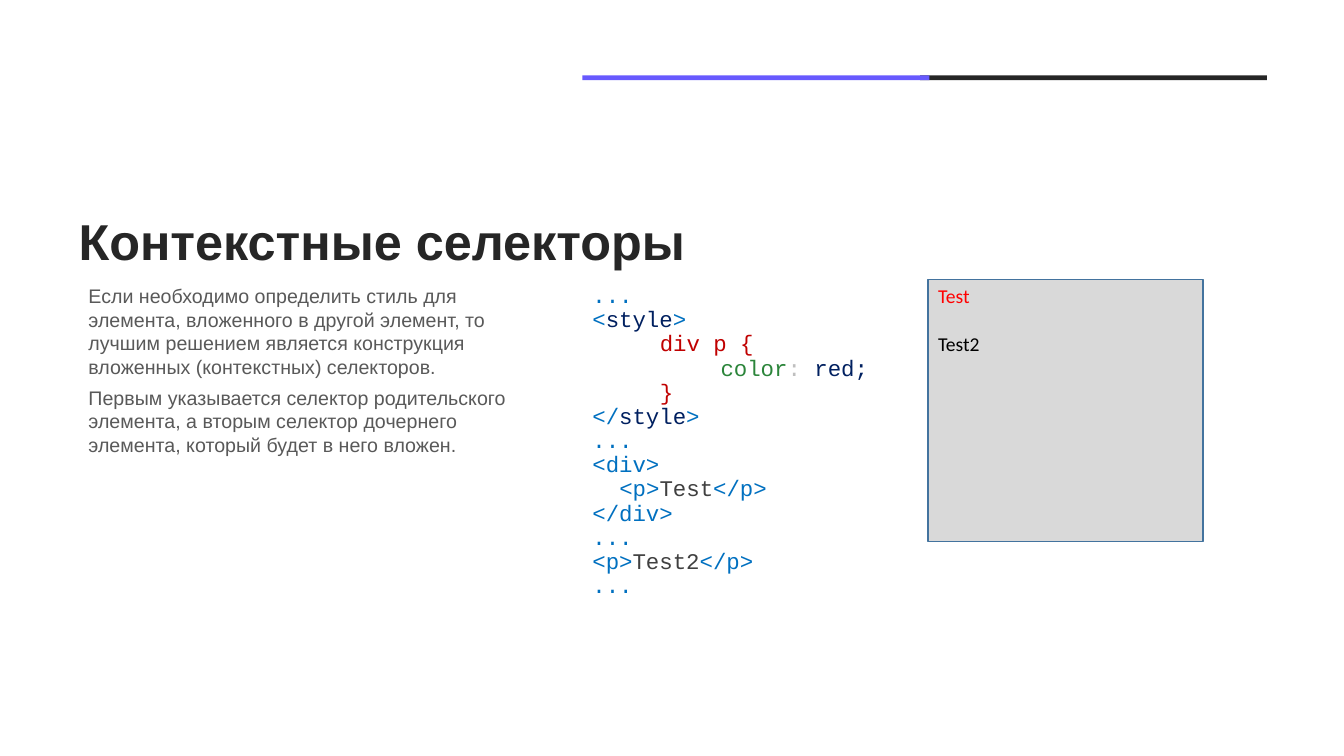
from pptx import Presentation
from pptx.dml.color import RGBColor
from pptx.enum.shapes import MSO_SHAPE
from pptx.enum.text import MSO_ANCHOR, PP_ALIGN
from pptx.util import Cm, Pt

RECTANGLE = MSO_SHAPE.RECTANGLE
TOP, MIDDLE = MSO_ANCHOR.TOP, MSO_ANCHOR.MIDDLE
LEFT = PP_ALIGN.LEFT

DARK, VIOLET, GREY = "262626", "6759FE", "595959"
TAG, NAME, SELECTOR = "0070C0", "002060", "C00000"
PROPERTY, COLON, CONTENT = "2B853A", "BFBFBF", "404040"

CONTENT_TOP = 7.04
CHARACTER = 0.34  # width of one code character, cm

EXPLANATION = [
    "Если необходимо определить стиль для элемента, вложенного в другой элемент, "
    "то лучшим решением является конструкция вложенных (контекстных) селекторов.",
    "Первым указывается селектор родительского элемента, а вторым селектор "
    "дочернего элемента, который будет в него вложен.",
]

# Each line: indent in characters, then coloured spans
DOTS = (0, [("...", TAG)])
CODE = [
    DOTS,
    (0, [("<", TAG), ("style", NAME), (">", TAG)]),
    (5, [("div p {", SELECTOR)]),
    (9.5, [("color", PROPERTY), (": ", COLON), ("red;", NAME)]),
    (5, [("}", SELECTOR)]),
    (0, [("</", TAG), ("style", NAME), (">", TAG)]),
    DOTS,
    (0, [("<div>", TAG)]),
    (2, [("<p>", TAG), ("Test", CONTENT), ("</p>", TAG)]),
    (0, [("</div>", TAG)]),
    DOTS,
    (0, [("<p>", TAG), ("Test2", CONTENT), ("</p>", TAG)]),
    DOTS,
]


def rgb(value):
    return RGBColor.from_string(value)


def add_bar(page, left, color):
    bar = page.shapes.add_shape(RECTANGLE, Cm(left), Cm(1.9), Cm(8.74), Cm(0.12))
    bar.shadow.inherit = False
    bar.fill.solid()
    bar.fill.fore_color.rgb = rgb(color)
    bar.line.fill.background()


def add_text_box(page, left, top, width, height, anchor=TOP):
    box = page.shapes.add_textbox(Cm(left), Cm(top), Cm(width), Cm(height))
    box.text_frame.word_wrap = True
    box.text_frame.vertical_anchor = anchor
    return box.text_frame


def add_preview(page, left, top, width, height):
    box = page.shapes.add_shape(RECTANGLE, Cm(left), Cm(top), Cm(width), Cm(height))
    box.shadow.inherit = False
    box.fill.solid()
    box.fill.fore_color.rgb = rgb("D9D9D9")
    box.line.color.rgb = rgb("43739E")
    box.line.width = Pt(1)
    box.text_frame.word_wrap = True
    box.text_frame.vertical_anchor = TOP
    return box.text_frame


def add_para(frame, spans, font, size, indent=0, before=0, spacing=1.0):
    """Fill the first empty paragraph, or append one, with coloured spans."""
    first = frame.paragraphs[0]
    para = frame.add_paragraph() if first.runs else first
    para.alignment = LEFT
    para.line_spacing = spacing
    para.space_before = Pt(before)
    para.font.name = font
    para.font.size = Pt(size)
    if indent:
        para._p.get_or_add_pPr().set("marL", str(Cm(indent)))
    for text, color in spans:
        span = para.add_run()
        span.text = text
        span.font.color.rgb = rgb(color)
    return para


def main():
    deck = Presentation()
    deck.slide_width, deck.slide_height = Cm(33.87), Cm(19.05)
    page = deck.slides.add_slide(deck.slide_layouts[6])

    # Title and the two-coloured rule above it
    title = add_text_box(page, 1.73, 5.26, 30.2, 1.8, MIDDLE)
    heading = add_para(title, [("Контекстные селекторы", DARK)], "Arial", 36, spacing=0.9)
    heading.font.bold = True
    add_bar(page, 23.19, DARK)
    add_bar(page, 14.68, VIOLET)

    # Explanation
    explanation = add_text_box(page, 1.73, CONTENT_TOP, 11.94, 4.62)
    for text in EXPLANATION:
        add_para(explanation, [(text, GREY)], "Arial", 14, indent=0.25, before=5)

    # Code listing
    listing = add_text_box(page, 14.68, CONTENT_TOP, 9.96, 8.56)
    for characters, spans in CODE:
        add_para(listing, spans, "Courier New", 16, characters * CHARACTER, spacing=0.9)

    # Rendered result
    preview = add_preview(page, 23.39, CONTENT_TOP, 6.93, 6.6)
    add_para(preview, [("Test", "FF0000")], "Calibri", 14)
    add_para(preview, [("Test2", "000000")], "Calibri", 14, before=17)

    deck.save("out.pptx")


if __name__ == "__main__":
    main()
